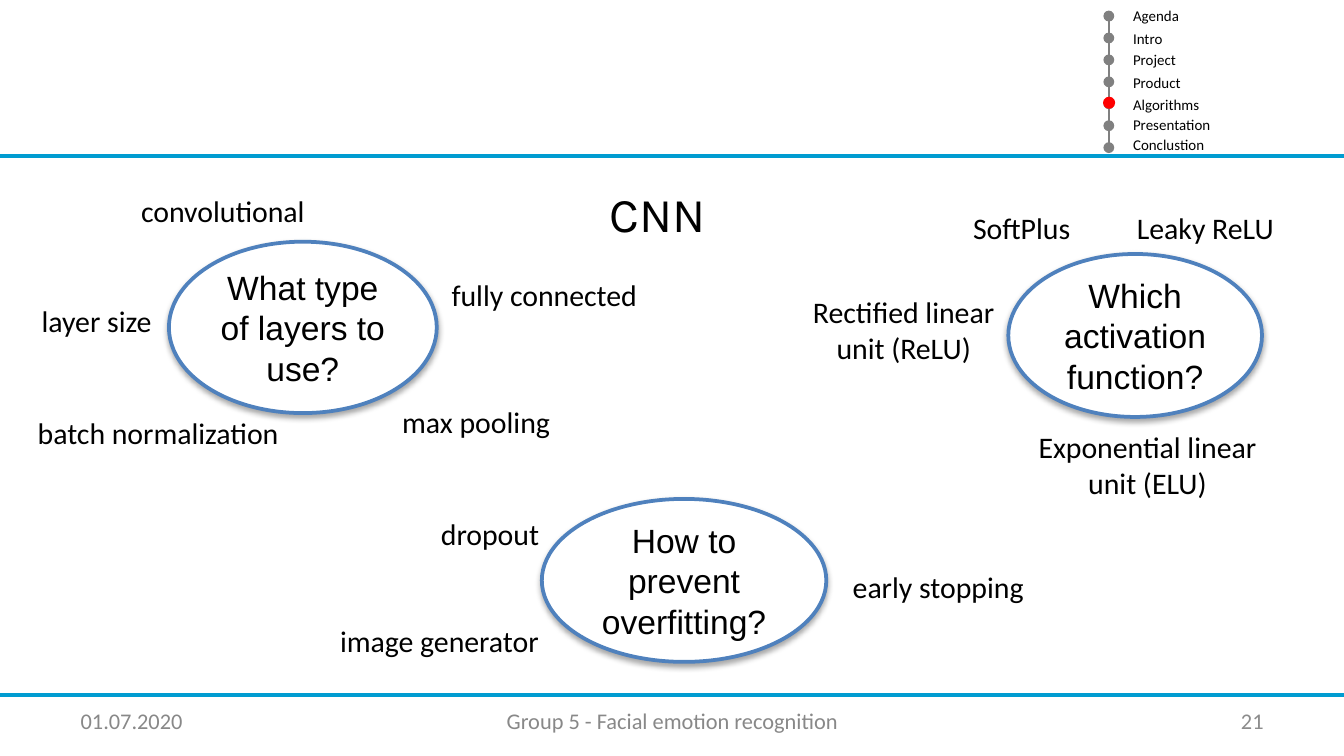
"""Build the CNN design-questions slide with its agenda tracker and footer."""
from lxml import etree
from pptx import Presentation
from pptx.dml.color import RGBColor
from pptx.enum.shapes import MSO_CONNECTOR, MSO_SHAPE
from pptx.enum.text import MSO_ANCHOR as ANCHOR, PP_ALIGN as ALIGN
from pptx.oxml import parse_xml
from pptx.oxml.ns import nsdecls, qn
from pptx.util import Pt

rgb = RGBColor.from_string
GRAY, RED, BLACK, RULE = "808080", "FF0000", "000000", "009CD1"


def write(shape, text, size, color=BLACK, font="Calibri", align=ALIGN.LEFT,
          anchor=ANCHOR.TOP, wrap=True, side=3.6):
    frame = shape.text_frame
    frame_format = {"word_wrap": wrap, "vertical_anchor": anchor,
                    "margin_left": Pt(side), "margin_right": Pt(side),
                    "margin_top": Pt(3.6), "margin_bottom": Pt(3.6)}
    for name, value in frame_format.items():
        setattr(frame, name, value)
    paragraph = frame.paragraphs[0]
    paragraph.alignment = align
    run = paragraph.add_run()
    run.text = text
    for name, value in {"size": Pt(size), "name": font}.items():
        setattr(run.font, name, value)
    run.font.color.rgb = rgb(color)
    return paragraph


def add_oval(box, fill):
    oval = slide.shapes.add_shape(MSO_SHAPE.OVAL, *map(Pt, box))
    oval.shadow.inherit = False
    oval.fill.solid()
    oval.fill.fore_color.rgb = rgb(fill)
    oval.line.fill.background()
    return oval


deck = Presentation()
deck.slide_width, deck.slide_height = Pt(720), Pt(405)
slide = deck.slides.add_slide(deck.slide_layouts[1])
slide.shapes.title.element.getparent().remove(slide.shapes.title.element)

rules = [
    (594, 8.6, 594, 79.2, GRAY, 1),
    (0, 372.2, 720, 372.2, RULE, 2),
    (0, 83.5, 720, 83.5, RULE, 2),
]
for x1, y1, x2, y2, color, width in rules:
    rule = slide.shapes.add_connector(MSO_CONNECTOR.STRAIGHT, *map(Pt, (x1, y1, x2, y2)))
    rule.line.color.rgb = rgb(color)
    rule.line.width = Pt(width)
    etree.SubElement(rule.element.spPr, qn("a:effectLst"))

agenda = [("Agenda", 0), ("Intro", 12.2), ("Project", 23.8), ("Product", 36),
          ("Algorithms", 47.5), ("Presentation", 58.3), ("Conclustion", 69.1)]
for step, (section, top) in enumerate(agenda):
    add_oval((591.1, 5.7 + 11.75 * step, 5.8, 5.8), GRAY)
    section_label = slide.shapes.add_textbox(Pt(603.4), Pt(top), Pt(86.4), Pt(17.3))
    write(section_label, section, 8)
add_oval((590.9, 51.8, 6.5, 6.5), RED)

topic = slide.placeholders[1]
topic_box = {"left": 16.6, "top": 95, "width": 671.8, "height": 39.6}
for name, value in topic_box.items():
    setattr(topic, name, Pt(value))
topic_line = write(topic, "CNN", 26, font="Karla", align=ALIGN.CENTER, side=7.2)
topic_line.space_before = Pt(6)
topic_format = topic_line._p.get_or_add_pPr()
for name in ("marL", "indent"):
    topic_format.set(name, "0")
etree.SubElement(topic_format, qn("a:buNone"))

footer = [
    ("01.07.2020", 39.6, 160.6, "888888", ALIGN.LEFT, 3.6),
    ("Group 5 - Facial emotion recognition", 249.8, 221, "888888", ALIGN.CENTER, 3.6),
    ("21", 569.5, 114.5, "8C8C8C", ALIGN.RIGHT, 7.2),
]
for text, left, width, color, align, side in footer:
    footer_part = slide.shapes.add_textbox(Pt(left), Pt(375.8), Pt(width), Pt(20.9))
    write(footer_part, text, 12, color, align=align, anchor=ANCHOR.MIDDLE, side=side)

questions = [
    ("What type of layers to use?", (90.5, 129.5, 143.5, 91.8)),
    ("Which activation function?", (540.2, 136.1, 135.9, 87.3)),
    ("How to prevent overfitting?", (290.3, 267.3, 152.4, 87.3)),
]
for question, box in questions:
    bubble = add_oval(box, "FFFFFF")
    bubble.line.color.rgb = rgb("4F81BD")
    bubble.line.width = Pt(2)
    write(bubble, question, 18, font="Arial", align=ALIGN.CENTER, anchor=ANCHOR.MIDDLE)
    bubble.element.spPr.find(qn("a:effectLst")).append(parse_xml(
        f'<a:outerShdw {nsdecls("a")} blurRad="{Pt(3)}" dist="{Pt(1.8)}" dir="5400000" '
        'rotWithShape="0"><a:srgbClr val="000000"><a:alpha val="35000"/></a:srgbClr>'
        '</a:outerShdw>'))

answers = [
    ("convolutional", 72, 99.4, 96.5),
    ("fully connected", 238.3, 144.7, 108),
    ("max pooling", 211.9, 212.7, 87.8),
    ("batch normalization", 16.6, 218.5, 137.5),
    ("layer size", 18.7, 158.7, 67),
    ("SoftPlus", 517.7, 109, 60.5),
    ("Leaky ReLU", 605.5, 109, 81.4),
    ("dropout", 232.6, 272.9, 61.2),
    ("image generator", 178.6, 330, 115.2),
]
for answer, left, top, width in answers:
    answer_label = slide.shapes.add_textbox(Pt(left), Pt(top), Pt(width), Pt(26))
    write(answer_label, answer, 16, wrap=False)

centered_answers = [
    ("Rectified linear unit (ReLU)", 420, 154, 128.2, 45.4),
    ("Exponential linear unit (ELU)", 542, 226.3, 145.4, 45.4),
    ("early stopping", 404, 301, 197.3, 26),
]
for answer, *box in centered_answers:
    answer_label = slide.shapes.add_textbox(*map(Pt, box))
    write(answer_label, answer, 16, align=ALIGN.CENTER)

deck.save("out.pptx")
